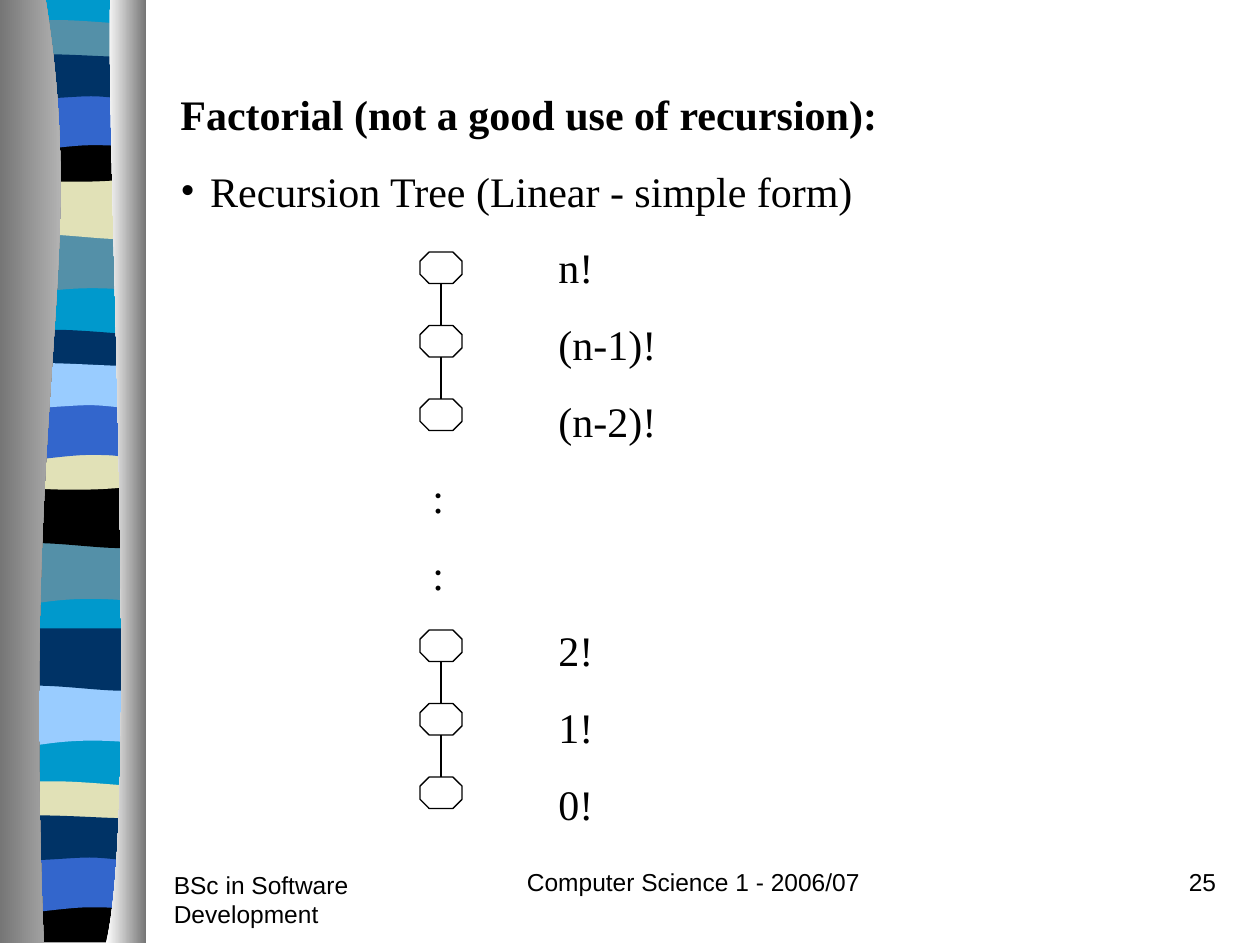
from collections import namedtuple
from lxml.etree import SubElement
from pptx import Presentation
from pptx.dml.color import RGBColor
from pptx.enum.shapes import MSO_CONNECTOR, MSO_SHAPE
from pptx.enum.text import PP_ALIGN
from pptx.oxml.ns import qn
from pptx.util import Pt

Box = namedtuple("Box", "x y w h")
Theme = namedtuple("Theme", "ink serif sans body foot line sky teal navy blue sand ice grey mist white")
THEME = Theme("000000", "Times New Roman", "Arial", 24, 14, 0.75, "0099CC", "5490A8",
              "003366", "3366CC", "E1E1B7", "99CCFF", "767676", "D0D0D0", "FFFFFF")

FORMS = {
    "drop": [(78, 0), (78, 34), (24, 28, 13, 39.5, 0, 34), (0, 0)],
    "swell": [(78, 0), (78, 34), (65, 39.5, 24, 29.5, 0, 34), (0, 0)],
    "lens": [(78, 0), (78, 17), (65, 20.5, 13, 20.5, 0, 17), (0, 0),
             (4.5, -3.5, 16.5, -3, 29.5, -3), (42.5, -3, 67.5, -0.5, 78, 0)],
    "bowl": [(78, 0), (78, 23), (65, 27.5, 13, 27.5, 0, 23), (0, 0),
             (47.5, 3.5, 61, 0, 78, 0)],
    "arch": [(78, 0), (78, 34), (65.5, 30, 60.5, 30, 47.5, 30),
             (34.5, 30, 11.5, 34, 0, 34), (0, 0)],
    "flow": [(78, 0), (78, 22.5), (73, 26, 60.5, 22.5, 47.5, 22.5),
             (34.5, 22.5, 8, 26, 0, 22.5), (0, 0),
             (11, -3.5, 52.5, 0, 65.5, 0), (78.5, 0, 75, 0, 78, 0)],
    "foot": [(78, 0), (78, 26.5), (0, 26.5), (0, 0), (47.5, 3.5, 61, 0, 78, 0)],
    "back": [(78, 0), (78, 538.5), (0, 538.5), (0, 0)]}

BANDS = [
    ("back", "sky", 4.5, -0.5),
    ("drop", "teal", 4.5, 133), ("swell", "sand", 4.5, 101.5), ("lens", "teal", 4.5, 15),
    ("bowl", "ink", 4.5, 78), ("arch", "blue", 4.5, 53.5), ("flow", "navy", 4.5, 33),
    ("drop", "teal", 3.5, 310.5), ("swell", "ink", 3.5, 278), ("lens", "navy", 3.5, 192),
    ("bowl", "sand", 3.5, 254), ("arch", "blue", 3.5, 230.5), ("flow", "ice", 3.5, 209.5),
    ("drop", "ice", 4.5, 391.5), ("swell", "navy", 4.5, 359.5), ("lens", "sand", 3.5, 450),
    ("foot", "ink", 3.5, 512.5), ("arch", "blue", 3.5, 489), ("flow", "navy", 3.5, 468)]

LINES = [("n!", 216), ("(n-1)!", 216), ("(n-2)!", 216), (":", 144), (":", 144),
         ("2!", 216), ("1!", 216), ("0!", 216)]


def tint(name):
    """Turn a hex string into a colour."""
    return RGBColor.from_string(name)


def outline(slide, x, y, form):
    """Draw a closed outline; six numbers in a step make a cubic curve."""
    pts = [(Pt(x + a), Pt(y + b)) for step in form
           for a, b in zip(step[::2], step[1::2])]
    pen = slide.shapes.build_freeform(*pts[0])
    pen.add_line_segments(pts[1:], close=True)
    shape = pen.convert_to_shape()
    segs = iter(list(shape._element.iter(qn("a:lnTo"))))
    for step in form[1:]:
        seg = next(segs)
        if len(step) == 6:
            seg.tag = qn("a:cubicBezTo")
            for _ in range(2):
                more = next(segs)
                seg.append(more[0])
                more.getparent().remove(more)
    shape.shadow.inherit = False
    shape.line.fill.background()
    return shape


def post(slide, box, form, first, last):
    """Draw one shaded upright beside the ribbon."""
    fill = outline(slide, box.x, box.y, form).fill
    fill.gradient()
    fill.gradient_angle = 0
    for stop, name in zip(fill.gradient_stops, (first, last)):
        stop.color.rgb = tint(name)


def ribbon(slide, box):
    """Draw the striped ribbon and the two uprights that frame it."""
    for form, name, x, y in BANDS:
        fill = outline(slide, box.x + x, box.y + y, FORMS[form]).fill
        fill.solid()
        fill.fore_color.rgb = tint(getattr(THEME, name))
    foot = box.h
    left = [(26, 0), (51, 156, 12, 213.5, 25, foot), (0, foot), (0, 0)]
    post(slide, box, left, THEME.grey, THEME.mist)
    right = [(63, 0), (60.5, 90, 80, 465.5, 60.5, foot), (box.w, foot), (box.w, 0)]
    post(slide, box, right, THEME.white, THEME.grey)


def frame(slide, box):
    """Add an empty wrapping text box."""
    text = slide.shapes.add_textbox(*map(Pt, box)).text_frame
    text.word_wrap = True
    return text


def write(para, words, face, size, bold=False):
    """Add one styled run to a paragraph."""
    run = para.add_run()
    run.text = words
    run.font.name, run.font.size, run.font.bold = face, Pt(size), bold
    run.font.color.rgb = tint(THEME.ink)


def indent(para, left, hang=0, mark=None):
    """Set the left margin, hanging indent and bullet."""
    props = para._p.get_or_add_pPr()
    props.set("marL", str(Pt(left)))
    props.set("indent", str(-Pt(hang)))
    if mark:
        SubElement(props, qn("a:buFont")).set("typeface", THEME.serif)
        SubElement(props, qn("a:buChar")).set("char", mark)


def body(slide, box):
    """Write the heading, the bullet and the tree labels."""
    text = frame(slide, box)
    head = text.paragraphs[0]
    write(head, "Factorial (not a good use of recursion):", THEME.serif, THEME.body, True)
    rows = [("Recursion Tree (Linear - simple form)", 17, 17, "•")]
    rows += [(words, left, 0, None) for words, left in LINES]
    for words, *place in rows:
        para = text.add_paragraph()
        para.space_before = Pt(15)
        indent(para, *place)
        write(para, words, THEME.serif, THEME.body)


def chain(slide, box, count=3, step=42):
    """Draw a column of octagon nodes joined by lines."""
    mid = box.x + box.w / 2
    for i in range(count):
        top = box.y + i * step
        node = slide.shapes.add_shape(
            MSO_SHAPE.OCTAGON, *map(Pt, (box.x, top, box.w, box.h)))
        node.adjustments[0] = 0.29
        node.shadow.inherit = False
        node.fill.background()
        parts = [node]
        if i < count - 1:
            link = slide.shapes.add_connector(
                MSO_CONNECTOR.STRAIGHT, *map(Pt, (mid, top + box.h, mid, top + step)))
            SubElement(link._element.spPr, qn("a:effectLst"))
            parts.append(link)
        for part in parts:
            part.line.color.rgb = tint(THEME.ink)
            part.line.width = Pt(THEME.line)


def footer(slide, box):
    """Write the course, the subject and the page number."""
    cells = [(0, 1.5, 150, "BSc in Software Development", PP_ALIGN.LEFT),
             (190, 0, 228, "Computer Science 1 - 2006/07", PP_ALIGN.CENTER),
             (box.w - 150, 0, 150, "25", PP_ALIGN.RIGHT)]
    for x, y, w, words, side in cells:
        para = frame(slide, Box(box.x + x, box.y + y, w, box.h)).paragraphs[0]
        para.alignment = side
        write(para, words, THEME.sans, THEME.foot)


def main():
    """Build and save the slide."""
    deck = Presentation()
    deck.slide_width, deck.slide_height = Pt(720), Pt(540)
    slide = deck.slides.add_slide(deck.slide_layouts[6])
    ribbon(slide, Box(0, -0.5, 83.5, 539.5))
    footer(slide, Box(92.25, 492, 609.75, 36))
    body(slide, Box(96, 47, 564, 430.5))
    for top in (144, 360):
        chain(slide, Box(240, top, 24, 18))
    deck.save("out.pptx")


if __name__ == "__main__":
    main()
